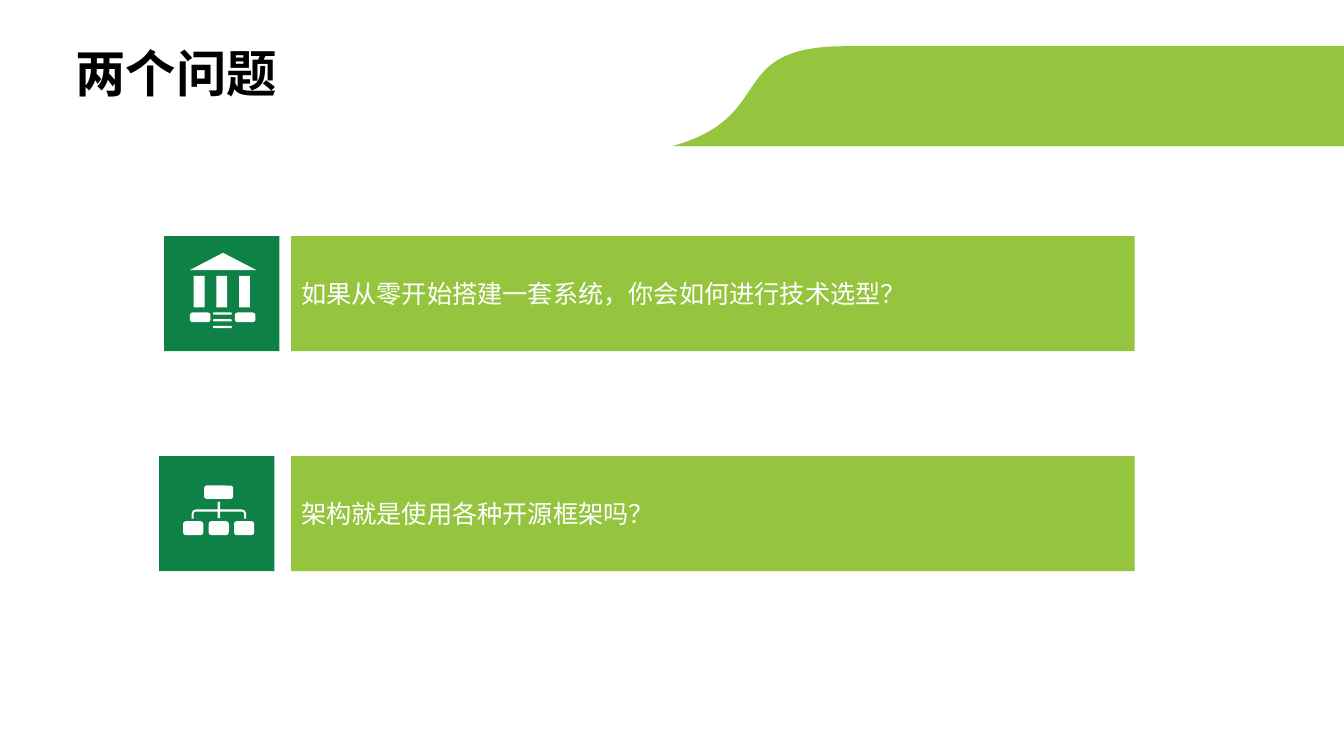
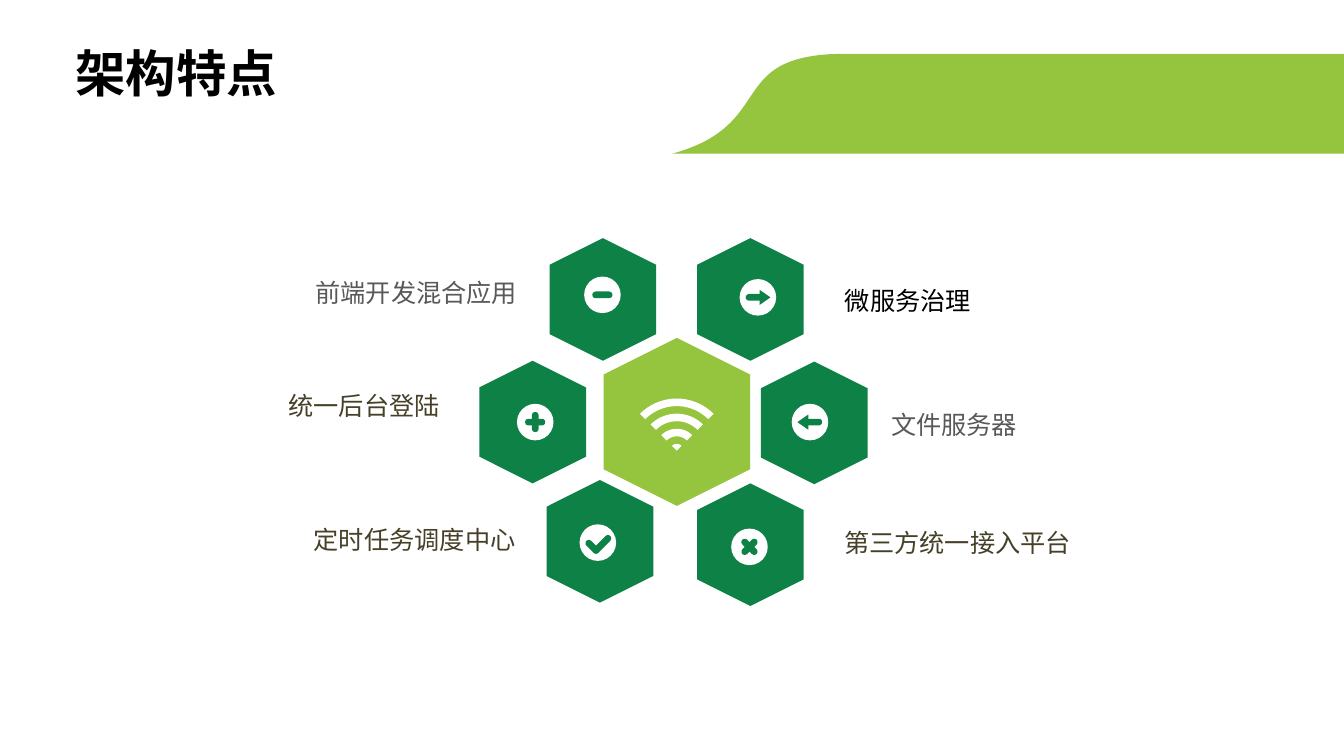
from math import cos, radians, sin

from lxml import etree
from pptx import Presentation
from pptx.dml.color import RGBColor
from pptx.enum.lang import MSO_LANGUAGE_ID as Language
from pptx.enum.shapes import MSO_SHAPE as Kind
from pptx.enum.text import MSO_ANCHOR as Anchor, PP_ALIGN as Align
from pptx.oxml.ns import qn
from pptx.util import Inches, Pt

COLORS = {
    "lime": "95C53E", "green": "0E8146", "white": "FFFFFF",
    "black": "000000", "gray": "595959", "olive": "454027",
}
LATIN, CHINESE = "Calibri", "Noto Sans CJK SC"
COLUMNS, ROWS = 160, 90

deck = Presentation()
deck.slide_width = Inches(13.33)
deck.slide_height = Inches(7.5)
CELL = deck.slide_height / ROWS


def block(page, kind, left, top, width, height, color, turn=0, corner=None):
    shape = page.shapes.add_shape(
        kind, *(round(n * CELL) for n in (left, top, width, height)))
    shape.shadow.inherit = False
    shape.fill.solid()
    shape.fill.fore_color.rgb = RGBColor.from_string(COLORS[color])
    shape.line.fill.background()
    shape.rotation = turn
    if corner is not None:
        shape.adjustments[0] = corner
    return shape


def write(box, text, size, color, name, align=Align.LEFT, bold=False):
    para = box.text_frame.paragraphs[0]
    para.text = text
    para.alignment = align
    span = para.runs[0]
    span.font.size = Pt(size)
    span.font.bold = bold
    span.font.name = name
    span.font.language_id = Language.SIMPLIFIED_CHINESE
    span.font.color.rgb = RGBColor.from_string(COLORS[color])
    latin = span.font.fill._xPr.find(qn("a:latin"))
    east = etree.Element(qn("a:ea"), typeface=CHINESE)
    latin.addnext(east)


outlines = []
pages = []
BAND_HEIGHT = 11.9
BAND_CURVE = [(80, BAND_HEIGHT), (92.76, 8.4), (86.04, 0), (100.68, 0)]
for title, band_top in (("两个问题", 5.5), ("架构特点", 6.4)):
    page = deck.slides.add_slide(deck.slide_layouts[6])
    pages.append(page)
    band = []
    for step in range(41):
        t = step / 40
        weights = ((1 - t) ** 3, 3 * t * (1 - t) ** 2, 3 * t * t * (1 - t), t ** 3)
        x, y = (sum(w * point[axis] for w, point in zip(weights, BAND_CURVE))
                for axis in (0, 1))
        band.append((x, band_top + y))
    band += [(COLUMNS, band_top), (COLUMNS, band_top + BAND_HEIGHT)]
    outlines.append((page, "lime", [band]))
    box = page.shapes.add_textbox(
        *(round(n * CELL) for n in (7.8, 4.4, 26.6, 8.5)))
    box.text_frame.word_wrap = False
    write(box, title, 36, "black", LATIN, bold=True)

questions, features = pages

CARD_HEIGHT = 13.7
for question, tile_left, top in (
    ("如果从零开始搭建一套系统，你会如何进行技术选型？", 19.55, 28.1),
    ("架构就是使用各种开源框架吗？", 18.95, 54.3),
):
    block(questions, Kind.RECTANGLE, tile_left, top, CARD_HEIGHT, CARD_HEIGHT, "green")
    card = block(questions, Kind.RECTANGLE, 34.65, top, 100.4, CARD_HEIGHT, "lime")
    card.text_frame.word_wrap = True
    card.text_frame.vertical_anchor = Anchor.MIDDLE
    write(card, question, 18, "white", LATIN)

block(questions, Kind.ISOSCELES_TRIANGLE, 22.6, 30.1, 7.9, 2.05, "white")
for index in range(3):
    block(questions, Kind.RECTANGLE, 23.05 + 2.7 * index, 32.85, 1.3, 3.75, "white")
    block(questions, Kind.ROUNDED_RECTANGLE, 25.35, 37.2 + 0.8 * index, 2.25, 0.25,
          "white", corner=0.5)
    block(questions, Kind.ROUNDED_RECTANGLE, 21.8 + 3.03 * index, 62.05, 2.4, 1.65,
          "white", corner=0.2)
for left in (22.6, 27.95):
    block(questions, Kind.ROUNDED_RECTANGLE, left, 37.2, 2.45, 1.15, "white", corner=0.28)

block(questions, Kind.ROUNDED_RECTANGLE, 24.3, 57.8, 3.45, 1.6, "white", corner=0.2)
block(questions, Kind.RECTANGLE, 25.9, 59.75, 0.3, 1.95, "white")
outer = [(-3.25, 1.1), (-3.25, 0.5), (-3.1, 0.15), (-2.75, 0)]
inner = [(-3, 1.1), (-3, 0.5), (-2.93, 0.32), (-2.75, 0.25)]
bracket = (outer + [(-x, y) for x, y in reversed(outer)]
           + [(-x, y) for x, y in inner] + inner[::-1])
outlines.append((questions, "white", [[(26.05 + x, 60.65 + y) for x, y in bracket]]))

BAR, HEAD = Kind.ROUNDED_RECTANGLE, Kind.ISOSCELES_TRIANGLE
minus = [(BAR, 0, 0, 2.4, 0.8, 0)]
plus = minus + [(BAR, 0, 0, 2.4, 0.8, 90)]
cross = [(BAR, 0, 0, 2.4, 0.8, turn) for turn in (45, 135)]
check = [(BAR, -0.65, 0.5, 2, 0.8, 45), (BAR, 0.5, 0.2, 2.8, 0.8, 315)]
right = [(BAR, -0.4, 0, 2.1, 0.8, 0), (HEAD, 0.85, 0, 1.8, 1.3, 90)]
left = [(kind, -x, y, width, height, -turn) for kind, x, y, width, height, turn in right]

BADGE = 4.35
for hex_x, hex_y, badge_x, badge_y, glyph in (
    (71.75, 35.65, 71.7, 35.1, minus),
    (89.3, 35.65, 90.2, 35.4, right),
    (96.9, 50.35, 96.4, 50.25, left),
    (89.3, 64.85, 89.2, 65.1, cross),
    (71.4, 64.45, 71.15, 64.6, check),
    (63.4, 50.25, 63.7, 50.25, plus),
):
    block(features, Kind.HEXAGON, hex_x - 7.3, hex_y - 6.35, 14.6, 12.7, "green", 90, 0.25)
    block(features, Kind.OVAL, badge_x - BADGE / 2, badge_y - BADGE / 2, BADGE, BADGE, "white")
    for kind, x, y, width, height, turn in glyph:
        block(features, kind, badge_x + x - width / 2, badge_y + y - height / 2,
              width, height, "green", turn, 0.5)

block(features, Kind.HEXAGON, 70.55, 41.5, 20, 17.45, "lime", 90, 0.25)
waves = []
for index in range(4):
    radius = 6.2 - 1.8 * index
    angles = [radians(degree) for degree in range(225, 316, 5)]
    waves.append([(80.55 + r * cos(a), 53.65 + r * sin(a))
                  for r, sweep in ((radius, angles), (max(radius - 0.9, 0), angles[::-1]))
                  for a in sweep])
outlines.append((features, "white", waves))

for text, left_edge, top, width, align, color in (
    ("前端开发混合应用", 10.9, 32.2, 52.2, Align.RIGHT, "gray"),
    ("统一后台登陆", 30.8, 45.6, 23.1, Align.RIGHT, "olive"),
    ("定时任务调度中心", 15.7, 61.6, 47.2, Align.RIGHT, "olive"),
    ("文件服务器", 104.5, 47.9, 22.1, Align.LEFT, "gray"),
    ("微服务治理", 99, 33.1, 47.2, Align.LEFT, "black"),
    ("第三方统一接入平台", 98.9, 61.9, 45.4, Align.LEFT, "olive"),
):
    box = features.shapes.add_textbox(
        *(round(n * CELL) for n in (left_edge, top, width, 5.3)))
    frame = box.text_frame
    frame.word_wrap = True
    frame.margin_left = frame.margin_right = Inches(0.13)
    frame.margin_top = frame.margin_bottom = Inches(0.07)
    write(box, text, 18, color, CHINESE, align)

for page, color, contours in outlines:
    scaled = [[(x * CELL, y * CELL) for x, y in contour] for contour in contours]
    builder = page.shapes.build_freeform(*scaled[0][0])
    builder.add_line_segments(scaled[0][1:])
    for contour in scaled[1:]:
        builder.move_to(*contour[0])
        builder.add_line_segments(contour[1:])
    shape = builder.convert_to_shape()
    shape.shadow.inherit = False
    shape.fill.solid()
    shape.fill.fore_color.rgb = RGBColor.from_string(COLORS[color])
    shape.line.fill.background()

deck.save("out.pptx")
